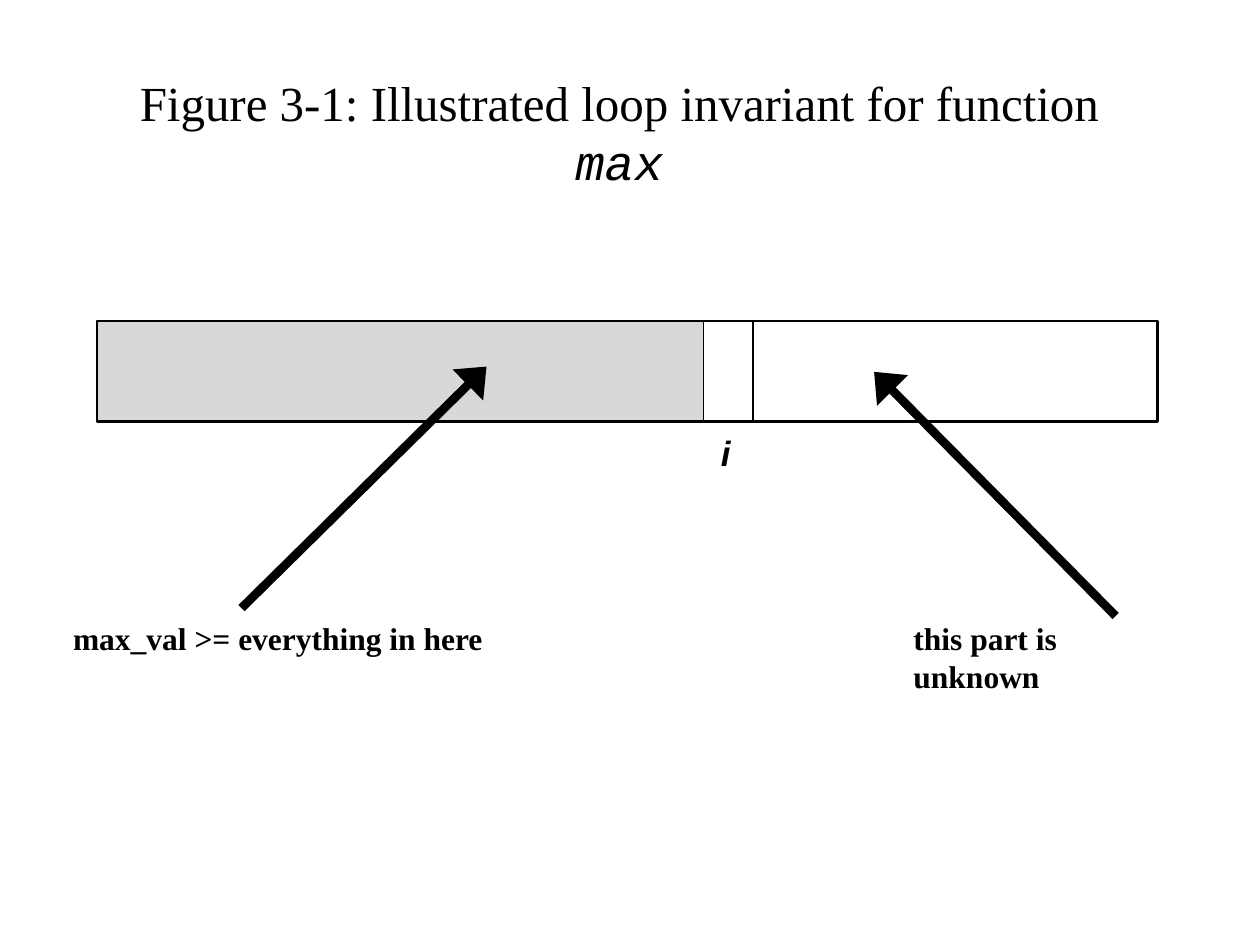
from lxml.etree import SubElement
from pptx import Presentation
from pptx.dml.color import RGBColor
from pptx.enum.shapes import MSO_CONNECTOR as Link, MSO_SHAPE as Form
from pptx.enum.text import MSO_ANCHOR as Anchor, MSO_AUTO_SIZE as Fit, PP_ALIGN as Align
from pptx.oxml.ns import qn
from pptx.util import Pt

BLACK = RGBColor(0, 0, 0)
GRAY = RGBColor(0xD8, 0xD8, 0xD8)
SERIF, SANS, MONO = "Times New Roman", "Arial", "Courier New"

TITLE = [
    ("Figure 3-1: Illustrated loop invariant for function ", SERIF, False),
    ("max", MONO, True),
]
LEFT, TOP, HIGH = 55.5, 183.5, 57.5
SEEN, ITEM, WHOLE = 346.5, 28.5, 606
CELLS = [
    (LEFT, SEEN, GRAY, 0),
    (LEFT + SEEN, ITEM, None, 1),
    (LEFT, WHOLE, None, 1.5),
]
ARROWS = [
    (138, 347.5, 278, 209.5),
    (637.5, 352, 499.5, 212.5),
]
LABELS = [
    ("max_val >= everything in here", 41.75, 353.5, 234.5, 21.5, SERIF, 18, False),
    ("this part is unknown", 522, 354, 158.5, 21.5, SERIF, 18, False),
    ("i", 412, 246.5, 10, 24, SANS, 20, True),
]


def place(shape, x, y, w, h):
    shape.left, shape.top, shape.width, shape.height = Pt(x), Pt(y), Pt(w), Pt(h)


def write(para, text, face, size, bold, slant):
    run = para.add_run()
    run.text = text
    font = run.font
    font.name, font.size, font.bold, font.italic = face, Pt(size), bold, slant
    font.color.rgb = BLACK


def add_cell(slide, x, w, fill, line):
    cell = slide.shapes.add_shape(Form.RECTANGLE, Pt(x), Pt(TOP), Pt(w), Pt(HIGH))
    cell.shadow.inherit = False
    if fill is None:
        cell.fill.background()
    else:
        cell.fill.solid()
        cell.fill.fore_color.rgb = fill
    if line:
        cell.line.color.rgb = BLACK
        cell.line.width = Pt(line)
    else:
        cell.line.fill.background()


def add_arrow(slide, *ends):
    arrow = slide.shapes.add_connector(Link.STRAIGHT, *map(Pt, ends))
    arrow.line.color.rgb = BLACK
    arrow.line.width = Pt(5)
    SubElement(arrow.line._get_or_add_ln(), qn("a:tailEnd"), type="triangle", w="lg", len="med")
    SubElement(arrow._element.spPr, qn("a:effectLst"))


def add_label(slide, text, x, y, w, h, face, size, slant):
    frame = slide.shapes.add_textbox(Pt(x), Pt(y), Pt(w), Pt(h)).text_frame
    frame.margin_left = frame.margin_right = frame.margin_top = frame.margin_bottom = 0
    frame.word_wrap = False
    write(frame.paragraphs[0], text, face, size, True, slant)


def main():
    deck = Presentation()
    deck.slide_width, deck.slide_height = Pt(720), Pt(540)
    slide = deck.slides.add_slide(deck.slide_layouts[5])

    title = slide.shapes.title
    place(title, 48, 48, 612, 54)
    frame = title.text_frame
    frame.auto_size, frame.word_wrap = Fit.NONE, True
    frame.vertical_anchor = Anchor.MIDDLE
    para = frame.paragraphs[0]
    para.alignment = Align.CENTER
    for text, face, slant in TITLE:
        write(para, text, face, 28, False, slant)

    for cell in CELLS:
        add_cell(slide, *cell)
    for arrow in ARROWS:
        add_arrow(slide, *arrow)
    for label in LABELS:
        add_label(slide, *label)
    deck.save("out.pptx")


if __name__ == "__main__":
    main()
